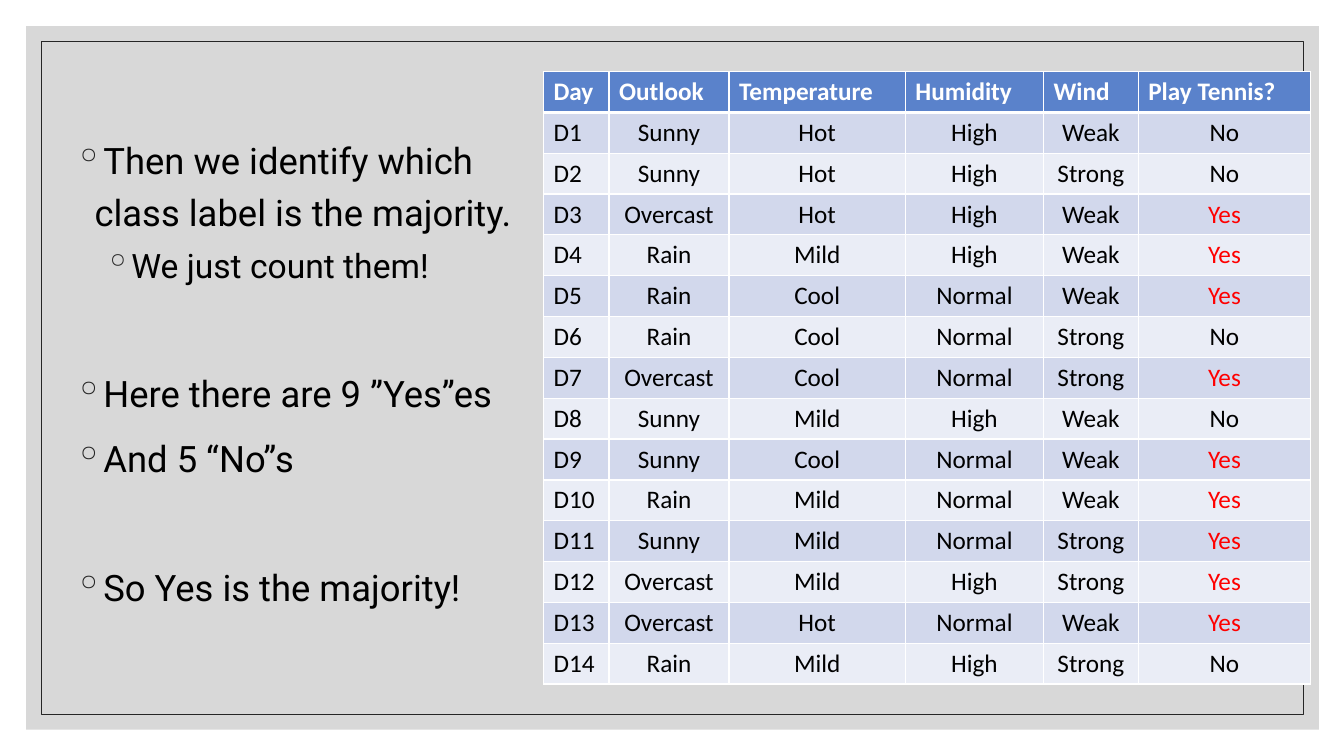
"""Builds the slide that counts the majority class of the tennis table."""
from dataclasses import dataclass

from lxml import etree
from pptx import Presentation, util as u
from pptx.dml import color
from pptx.enum import shapes, text
from pptx.oxml import ns

WHITE, BLACK, RED, INK = "FFFFFF", "000000", "FF0000", "262626"
HEADER, BANDS = "5A82CB", ("EAEDF6", "D2D8EC")
COLUMN_WIDTHS = (0.65, 1.19, 1.75, 1.37, 0.94, 1.71)
DAYS = """Day|Outlook|Temperature|Humidity|Wind|Play Tennis?
D1|Sunny|Hot|High|Weak|No
D2|Sunny|Hot|High|Strong|No
D3|Overcast|Hot|High|Weak|Yes
D4|Rain|Mild|High|Weak|Yes
D5|Rain|Cool|Normal|Weak|Yes
D6|Rain|Cool|Normal|Strong|No
D7|Overcast|Cool|Normal|Strong|Yes
D8|Sunny|Mild|High|Weak|No
D9|Sunny|Cool|Normal|Weak|Yes
D10|Rain|Mild|Normal|Weak|Yes
D11|Sunny|Mild|Normal|Strong|Yes
D12|Overcast|Mild|High|Strong|Yes
D13|Overcast|Hot|Normal|Weak|Yes
D14|Rain|Mild|High|Strong|No"""


@dataclass(frozen=True)
class Area:
    left: float
    top: float
    width: float
    height: float

    def lengths(self) -> tuple:
        return tuple(u.Inches(n) for n in (self.left, self.top, self.width, self.height))


@dataclass(frozen=True)
class Point:
    words: str
    before: float = 9
    level: int = 0
    size: int = 26
    spacing: float = 1.2
    indent: float = 0.2


POINTS = (
    Point("Then we identify which class label is the majority.", before=0),
    Point("We just count them!", before=5, level=1, size=24, spacing=1.1, indent=0.5),
    Point("Here there are 9 ”Yes”es", before=55),
    Point("And 5 “No”s"),
    Point("So Yes is the majority!", before=55),
)


def rgb(code: str) -> color.RGBColor:
    return color.RGBColor.from_string(code)


def add_element(parent, tag: str, **attributes: str):
    element = etree.SubElement(parent, ns.qn(tag))
    for name, value in attributes.items():
        element.set(name, value)
    return element


def add_frame(page, area: Area):
    frame = page.shapes.add_shape(shapes.MSO_SHAPE.RECTANGLE, *area.lengths())
    frame.shadow.inherit = False
    return frame


def draw_backdrop(page) -> None:
    panel = add_frame(page, Area(0.26, 0.26, 12.82, 6.98))
    panel.fill.solid()
    panel.fill.fore_color.rgb = rgb("BFBFBF")
    swatch = next(panel.fill._xPr.iter(ns.qn("a:srgbClr")))
    add_element(swatch, "a:alpha", val="60000")
    panel.line.fill.background()

    outline = add_frame(page, Area(0.41, 0.41, 12.52, 6.68))
    outline.fill.background()
    outline.line.color.rgb = rgb(INK)
    outline.line.width = u.Pt(0.5)


def format_font(font, name: str, size: int, code: str, bold: bool = False) -> None:
    font.name, font.size, font.bold = name, u.Pt(size), bold
    font.color.rgb = rgb(code)


def draw_points(page, area: Area) -> None:
    box = page.shapes.add_textbox(*area.lengths())
    frame = box.text_frame
    frame.word_wrap = True
    frame.text = "\n".join(point.words for point in POINTS)
    for para, point in zip(frame.paragraphs, POINTS):
        para.level = point.level
        para.line_spacing = point.spacing
        para.space_before = u.Pt(point.before)
        properties = para._p.get_or_add_pPr()
        properties.set("marL", str(u.Inches(point.indent)))
        properties.set("indent", str(u.Inches(-0.2)))
        add_element(add_element(properties, "a:buClr"), "a:srgbClr", val=INK)
        add_element(properties, "a:buChar", char="◦")
        for span in para.runs:
            format_font(span.font, "Roboto", point.size, BLACK)


def set_borders(cell, row: int) -> None:
    properties = cell._tc.get_or_add_tcPr()
    thick_side = {0: "B", 1: "T"}.get(row)
    for side in "LRTB":
        width = u.Pt(3 if side == thick_side else 1)
        border = add_element(properties, f"a:ln{side}", w=str(width))
        add_element(add_element(border, "a:solidFill"), "a:srgbClr", val=WHITE)


def draw_cell(cell, words: str, row: int, column: int) -> None:
    set_borders(cell, row)
    cell.fill.solid()
    cell.fill.fore_color.rgb = rgb(BANDS[row % 2] if row else HEADER)
    cell.text_frame.text = words
    para = cell.text_frame.paragraphs[0]
    if row and column:
        para.alignment = text.PP_ALIGN.CENTER
    ink = WHITE if row == 0 else RED if words == "Yes" else BLACK
    format_font(para.runs[0].font, "Calibri", 18, ink, bold=row == 0)


def draw_table(page, area: Area) -> None:
    records = [line.split("|") for line in DAYS.splitlines()]
    holder = page.shapes.add_table(len(records), len(COLUMN_WIDTHS), *area.lengths())
    table = holder.table
    for column, width in zip(table.columns, COLUMN_WIDTHS):
        column.width = u.Inches(width)
    for row, record in enumerate(records):
        for column, words in enumerate(record):
            draw_cell(table.cell(row, column), words, row, column)


def main() -> None:
    deck = Presentation()
    deck.slide_width, deck.slide_height = u.Inches(13.33), u.Inches(7.5)
    page = deck.slides.add_slide(deck.slide_layouts[6])
    draw_backdrop(page)
    draw_points(page, Area(0.64, 1.23, 4.74, 5.85))
    draw_table(page, Area(5.39, 0.71, 7.61, 6.08))
    deck.save("out.pptx")


if __name__ == "__main__":
    main()
